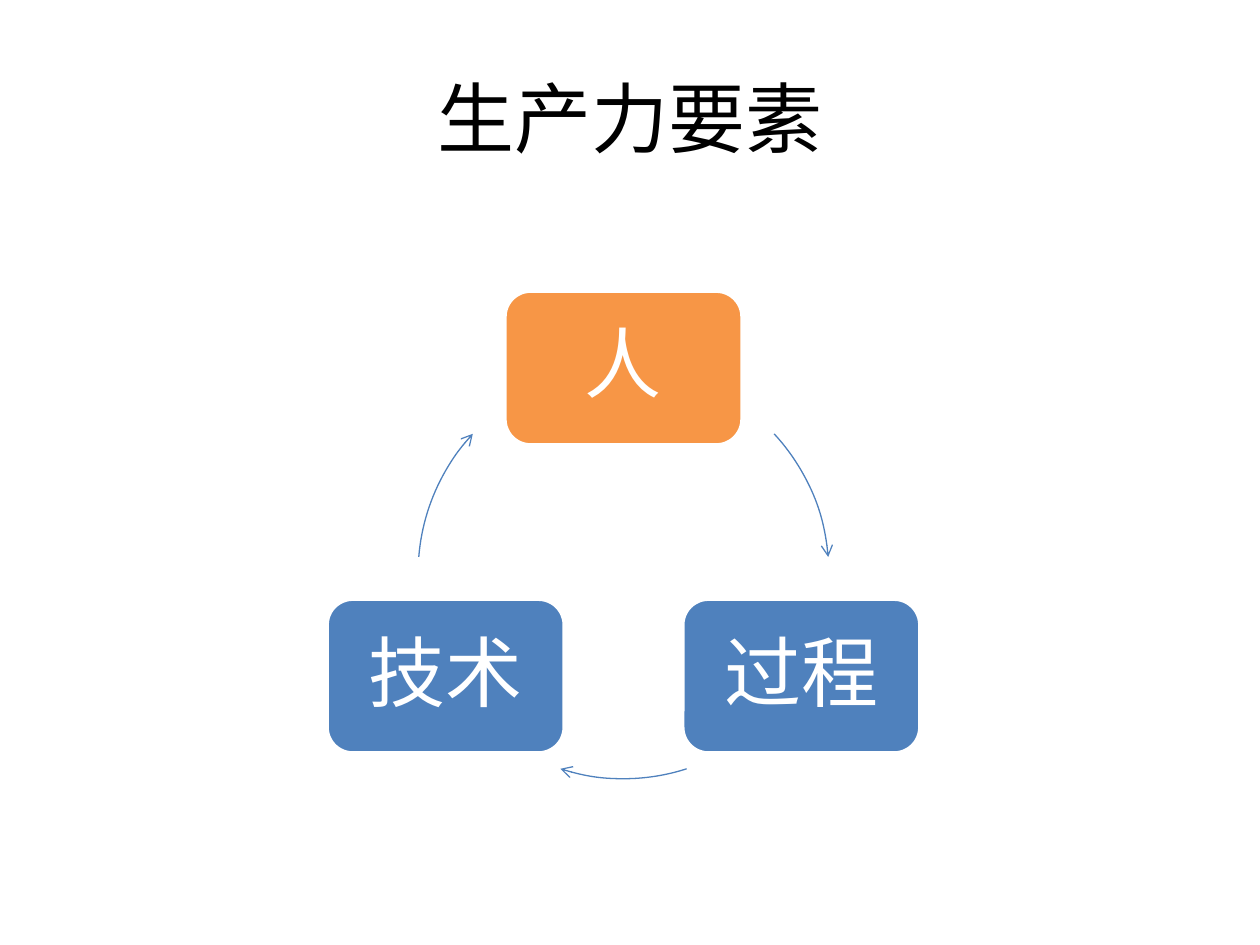
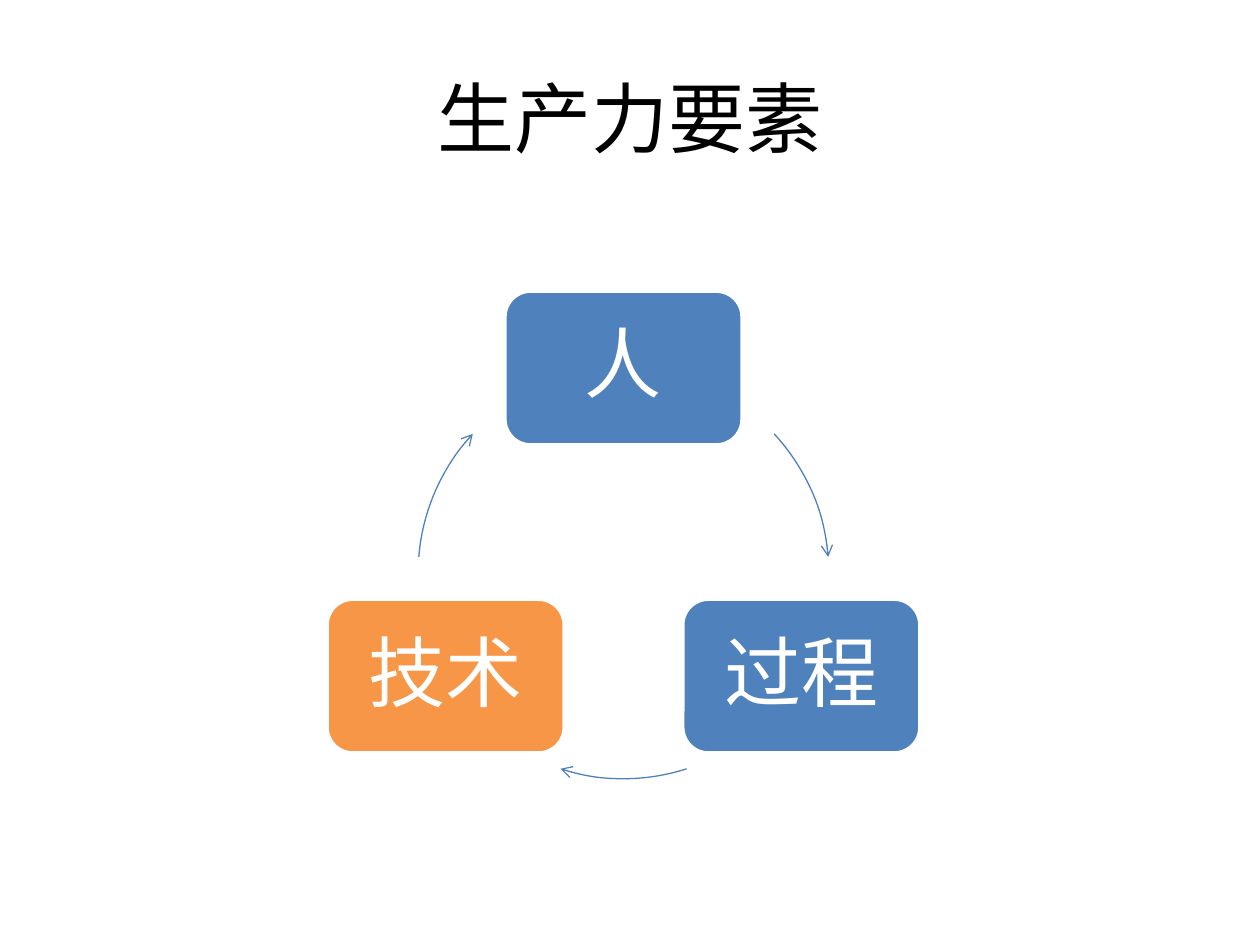
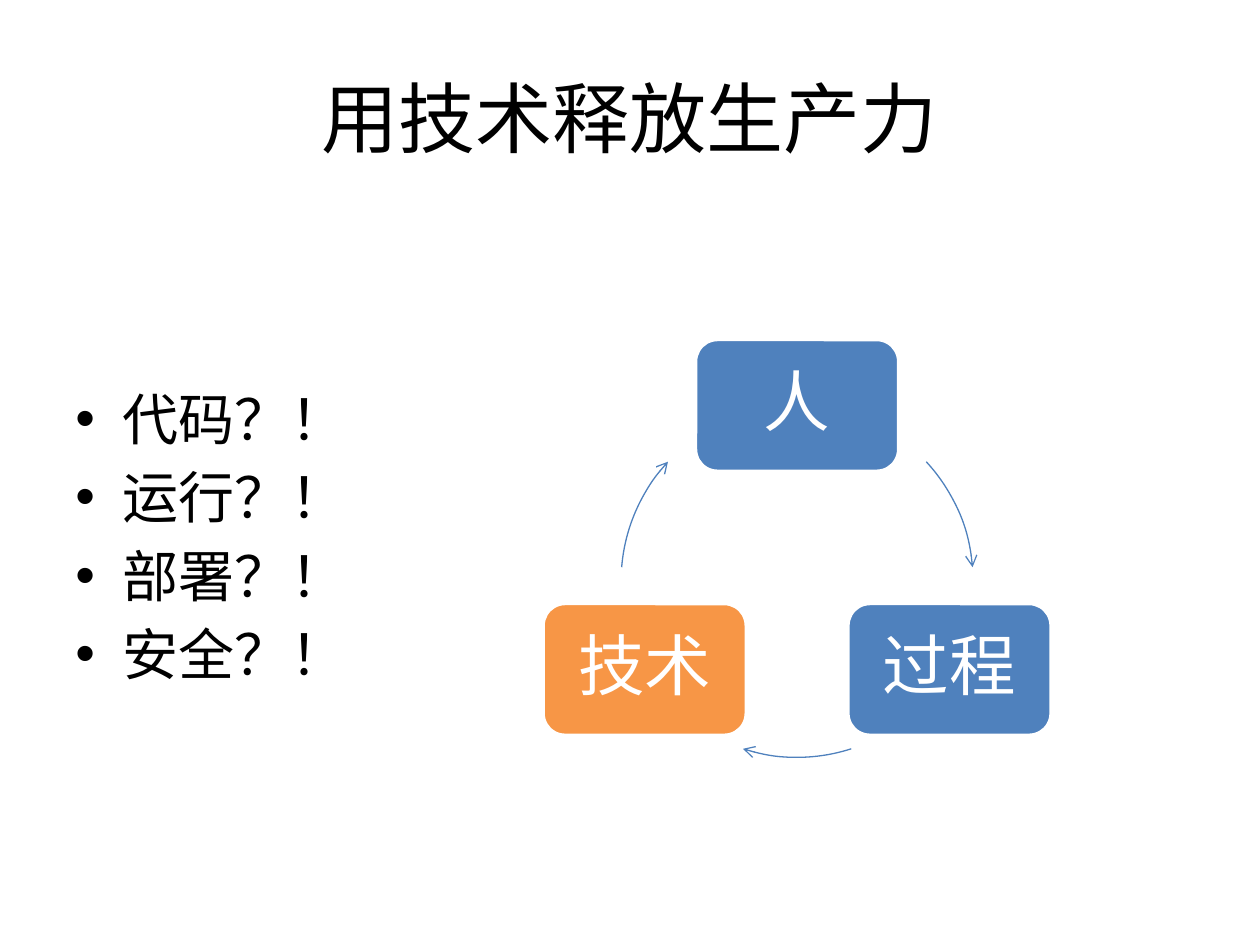
from dataclasses import dataclass
from math import cos, radians, sin

from lxml.etree import SubElement
from pptx import Presentation
from pptx.dml.color import RGBColor
from pptx.enum.lang import MSO_LANGUAGE_ID as Language
from pptx.enum.shapes import MSO_SHAPE as Preset
from pptx.enum.text import MSO_ANCHOR as Anchor, PP_ALIGN as Align
from pptx.oxml.ns import qn
from pptx.slide import Slide
from pptx.text.text import _Paragraph as Paragraph
from pptx.util import Cm, Pt

COLORS = {"text": "000000", "light": "FFFFFF", "node": "4F81BD", "focus": "F79646"}
FONT = "Calibri"
TITLE_ONLY = 5

NODE_WIDTH, NODE_HEIGHT, NODE_INSET = 4.78, 3.1, 0.6
CYCLE_RADIUS = 4.14
NODE_TEXT_SIZE = 44


@dataclass(frozen=True)
class Step:
    label: str
    angle: float
    arrow_start: float
    arrow_end: float


@dataclass(frozen=True)
class Cycle:
    center_x: float
    center_y: float
    focus: str
    scale: float = 1.0


@dataclass(frozen=True)
class Page:
    title: str
    cycle: Cycle
    bullets: tuple[str, ...] = ()


STEPS = (
    Step("人", 270, 317.2, 355.4),
    Step("过程", 30, 72.1, 107.9),
    Step("技术", 150, 184.6, 222.8),
)

PAGES = (
    Page("生产力要素", Cycle(12.57, 11.56, "人")),
    Page("生产力要素", Cycle(12.57, 11.56, "技术")),
    Page(
        "用技术释放生产力",
        Cycle(16.07, 11.72, "技术", 0.857),
        ("代码？！", "运行？！", "部署？！", "安全？！"),
    ),
)


def color(name: str) -> RGBColor:
    return RGBColor.from_string(COLORS[name])


def add_run(paragraph: Paragraph, text: str, size: float, color_name: str) -> None:
    run = paragraph.add_run()
    run.text = text
    run.font.name = FONT
    run.font.size = Pt(size)
    run.font.color.rgb = color(color_name)
    run.font.language_id = Language.SIMPLIFIED_CHINESE


def add_title(slide: Slide, text: str) -> None:
    title = slide.shapes.title
    title.left, title.top = Cm(1.27), Cm(0.76)
    title.width, title.height = Cm(22.86), Cm(3.18)
    title.text_frame.vertical_anchor = Anchor.MIDDLE
    paragraph = title.text_frame.paragraphs[0]
    paragraph.alignment = Align.CENTER
    add_run(paragraph, text, 44, "text")


def add_node(slide: Slide, cycle: Cycle, step: Step) -> None:
    width, height = NODE_WIDTH * cycle.scale, NODE_HEIGHT * cycle.scale
    radius = CYCLE_RADIUS * cycle.scale
    left = cycle.center_x + radius * cos(radians(step.angle)) - width / 2
    top = cycle.center_y + radius * sin(radians(step.angle)) - height / 2
    node = slide.shapes.add_shape(
        Preset.ROUNDED_RECTANGLE, Cm(left), Cm(top), Cm(width), Cm(height)
    )
    node.shadow.inherit = False
    node.fill.solid()
    node.fill.fore_color.rgb = color("focus" if step.label == cycle.focus else "node")
    node.line.color.rgb = color("light")
    node.line.width = Pt(2)
    frame = node.text_frame
    frame.word_wrap = True
    frame.vertical_anchor = Anchor.MIDDLE
    inset = Cm(NODE_INSET * cycle.scale)
    frame.margin_left = frame.margin_right = inset
    frame.margin_top = frame.margin_bottom = inset
    paragraph = frame.paragraphs[0]
    paragraph.alignment = Align.CENTER
    paragraph.line_spacing = 0.9
    add_run(paragraph, step.label, round(NODE_TEXT_SIZE * cycle.scale), "light")


def add_arrow(slide: Slide, cycle: Cycle, step: Step) -> None:
    radius = CYCLE_RADIUS * cycle.scale
    arrow = slide.shapes.add_shape(
        Preset.ARC,
        Cm(cycle.center_x - radius),
        Cm(cycle.center_y - radius),
        Cm(2 * radius),
        Cm(2 * radius),
    )
    for index, angle in enumerate((step.arrow_start, step.arrow_end)):
        arrow.adjustments[index] = angle * 0.6
    arrow.shadow.inherit = False
    arrow.fill.background()
    arrow.line.color.rgb = color("node")
    arrow.line.width = Pt(0.75)
    SubElement(arrow.line._get_or_add_ln(), qn("a:tailEnd"), type="arrow")


def add_cycle(slide: Slide, cycle: Cycle) -> None:
    for step in STEPS:
        add_node(slide, cycle, step)
        add_arrow(slide, cycle, step)


def add_bullets(slide: Slide, items: tuple[str, ...]) -> None:
    box = slide.shapes.add_textbox(Cm(1.27), Cm(7.62), Cm(9.2), Cm(9.4))
    frame = box.text_frame
    frame.word_wrap = True
    for index, item in enumerate(items):
        paragraph = frame.add_paragraph() if index else frame.paragraphs[0]
        properties = paragraph._p.get_or_add_pPr()
        properties.set("marL", str(Cm(0.95)))
        properties.set("indent", str(-Cm(0.95)))
        SubElement(properties, qn("a:buFont"), typeface="Arial")
        SubElement(properties, qn("a:buChar"), char="•")
        if index:
            paragraph.space_before = Pt(6.4)
        add_run(paragraph, item, 32, "text")


def main() -> None:
    presentation = Presentation()
    presentation.slide_width, presentation.slide_height = Cm(25.4), Cm(19.05)
    for page in PAGES:
        slide = presentation.slides.add_slide(presentation.slide_layouts[TITLE_ONLY])
        add_title(slide, page.title)
        if page.bullets:
            add_bullets(slide, page.bullets)
        add_cycle(slide, page.cycle)
    presentation.save("out.pptx")


if __name__ == "__main__":
    main()
